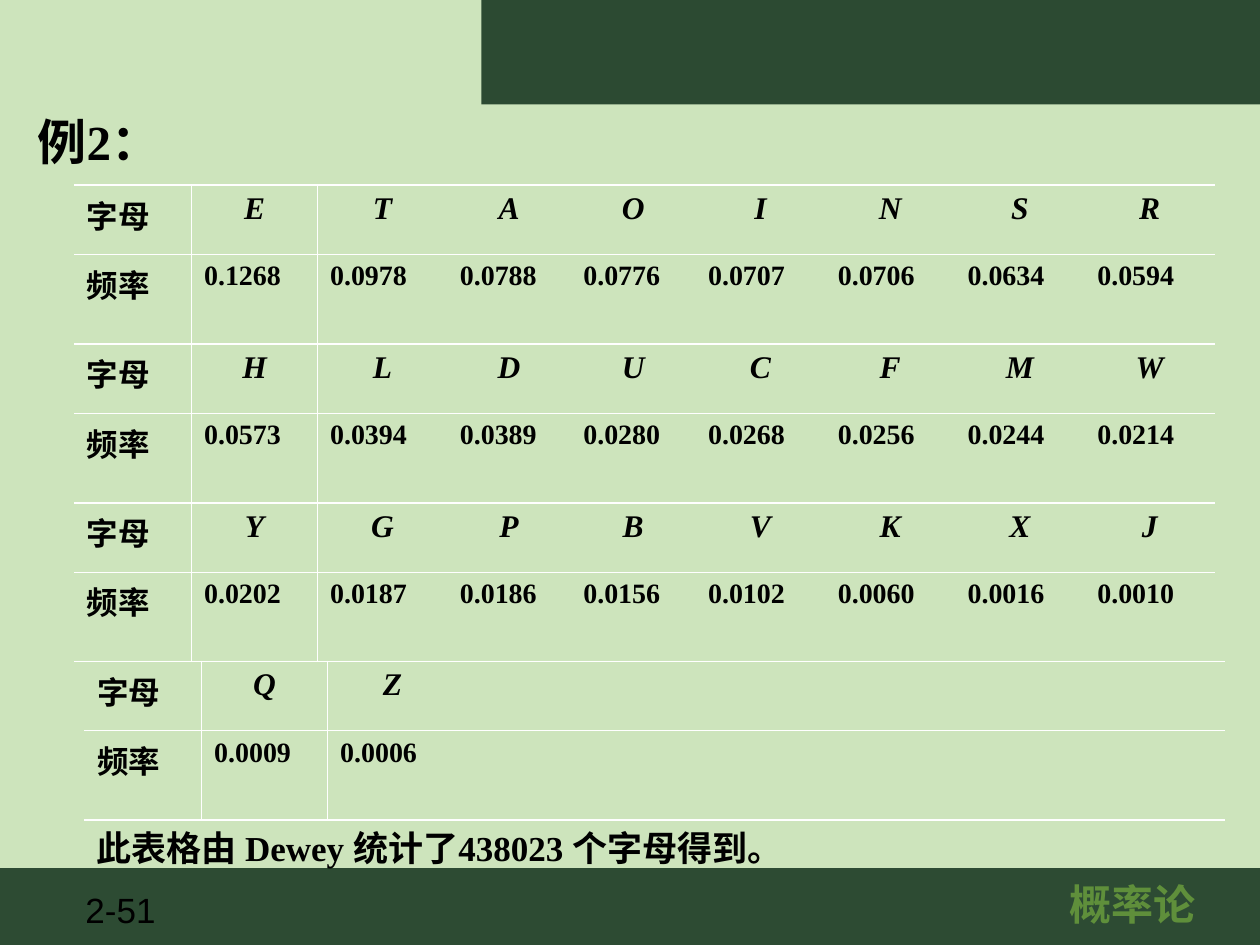
import pptx
import pptx.dml.color
import pptx.enum.shapes
import pptx.enum.text
import pptx.oxml
import pptx.oxml.ns
import pptx.util

BACKGROUND = pptx.dml.color.RGBColor(0xCD, 0xE4, 0xBC)
HEADER_GREEN = pptx.dml.color.RGBColor(0x2C, 0x4A, 0x32)
FOOTER_GREEN = pptx.dml.color.RGBColor(0x2D, 0x4B, 0x33)
COURSE_GREEN = pptx.dml.color.RGBColor(0x5F, 0x8F, 0x3B)
BLACK = pptx.dml.color.RGBColor(0, 0, 0)
WHITE = pptx.dml.color.RGBColor(0xFF, 0xFF, 0xFF)

SERIF = "Times New Roman"
SANS = "Arial"
PLAIN_TABLE_STYLE = "{2D5ABB26-0587-4C30-8999-92F81FD0307C}"
THICK, THIN = 1.08, 0.45

GRID = pptx.util.Inches(0.01)
SLIDE_COLUMNS, SLIDE_ROWS = 1000, 750
TABLE_COLUMNS = (93, 100, 103, 98, 99, 103, 103, 103, 103)
TABLE_ROWS = (55, 71)
TABLE_WIDTH, TABLE_HEIGHT = sum(TABLE_COLUMNS), sum(TABLE_ROWS)
TABLE_TOP = 147

LETTER_GROUPS = (
    (59, "ETAOINSR", "0.1268 0.0978 0.0788 0.0776 0.0707 0.0706 0.0634 0.0594"),
    (59, "HLDUCFMW", "0.0573 0.0394 0.0389 0.0280 0.0268 0.0256 0.0244 0.0214"),
    (59, "YGPBVKXJ", "0.0202 0.0187 0.0186 0.0156 0.0102 0.0060 0.0016 0.0010"),
    (67, "QZ", "0.0009 0.0006"),
)


def to_lengths(box):
    return [pptx.util.Emu(round(cells * GRID)) for cells in box]


def write(frame, text, size, font=SERIF, color=BLACK, bold=True, italic=False,
          align=pptx.enum.text.PP_ALIGN.LEFT):
    frame.text = text
    para = frame.paragraphs[0]
    para.alignment = align
    for span in para.runs:
        span.font.size = pptx.util.Pt(size)
        span.font.name = font
        span.font.bold = bold
        span.font.italic = italic
        span.font.color.rgb = color


def add_label(page, box, text, size, **style):
    frame = page.shapes.add_textbox(*to_lengths(box)).text_frame
    frame.word_wrap = True
    write(frame, text, size, **style)


def add_band(page, box, color):
    band = page.shapes.add_shape(pptx.enum.shapes.MSO_SHAPE.RECTANGLE, *to_lengths(box))
    band.shadow.inherit = False
    band.fill.solid()
    band.fill.fore_color.rgb = color
    band.line.fill.background()


def add_footer(page, box):
    left, top, width, height = box
    add_band(page, box, FOOTER_GREEN)
    add_label(page, (left + 58, top + 11, 78, 43), "2-51", 20, font=SANS, bold=False)
    add_label(page, (left + 744, top + 3, 309, 50), "概率论", 24, font=SANS,
              color=COURSE_GREEN, align=pptx.enum.text.PP_ALIGN.CENTER)


def place_title(page, box):
    title = page.shapes.title
    title.left, title.top, title.width, title.height = to_lengths(box)
    title.text_frame.vertical_anchor = pptx.enum.text.MSO_ANCHOR.MIDDLE
    write(title.text_frame, "例2：", 28)


def set_borders(cell, **widths):
    properties = cell._tc.get_or_add_tcPr()
    for position, side in enumerate(("left", "right", "top", "bottom")):
        if side in widths:
            line = pptx.oxml.parse_xml(
                f'<a:ln{side[0].upper()} {pptx.oxml.ns.nsdecls("a")} '
                f'w="{pptx.util.Pt(widths[side])}"><a:solidFill>'
                f'<a:srgbClr val="{WHITE}"/></a:solidFill></a:ln{side[0].upper()}>')
            fill = properties.find(pptx.oxml.ns.qn("a:noFill"))
            fill.addprevious(line)


def add_frequency_table(page, box, letters, frequencies):
    table = page.shapes.add_table(
        len(TABLE_ROWS), len(TABLE_COLUMNS), *to_lengths(box)).table
    table._tbl.tblPr.find(pptx.oxml.ns.qn("a:tableStyleId")).text = PLAIN_TABLE_STYLE
    table.first_row = table.horz_banding = False
    for column, width in zip(table.columns, TABLE_COLUMNS):
        column.width = GRID * width
    for row, height in zip(table.rows, TABLE_ROWS):
        row.height = GRID * height

    for row in range(len(TABLE_ROWS)):
        for column in range(len(TABLE_COLUMNS)):
            cell = table.cell(row, column)
            cell.fill.background()
            borders = {"top": THIN, "bottom": THICK} if row else {"top": THICK, "bottom": THIN}
            if column < 2:
                borders["left" if column else "right"] = THIN
            set_borders(cell, **borders)

    for row, heading in enumerate(("字母", "频率")):
        write(table.cell(row, 0).text_frame, heading, 18)
    for column, (letter, frequency) in enumerate(zip(letters, frequencies), 1):
        write(table.cell(0, column).text_frame, letter, 18, italic=True,
              align=pptx.enum.text.PP_ALIGN.CENTER)
        write(table.cell(1, column).text_frame, frequency, 16)


def main():
    deck = pptx.Presentation()
    deck.slide_width = GRID * SLIDE_COLUMNS
    deck.slide_height = GRID * SLIDE_ROWS
    page = deck.slides.add_slide(deck.slide_layouts[5])
    page.background.fill.solid()
    page.background.fill.fore_color.rgb = BACKGROUND

    add_footer(page, (0, 689, SLIDE_COLUMNS, 63))
    add_band(page, (382, 0, SLIDE_COLUMNS - 382, 83), HEADER_GREEN)
    place_title(page, (20, 83, 908, 57))
    for index, (left, letters, frequencies) in enumerate(LETTER_GROUPS):
        top = TABLE_TOP + index * TABLE_HEIGHT
        add_frequency_table(page, (left, top, TABLE_WIDTH, TABLE_HEIGHT),
                            letters, frequencies.split())
    add_label(page, (67, 651, 819, 44), "此表格由 Dewey 统计了438023 个字母得到。", 20)

    deck.save("out.pptx")


if __name__ == "__main__":
    main()
